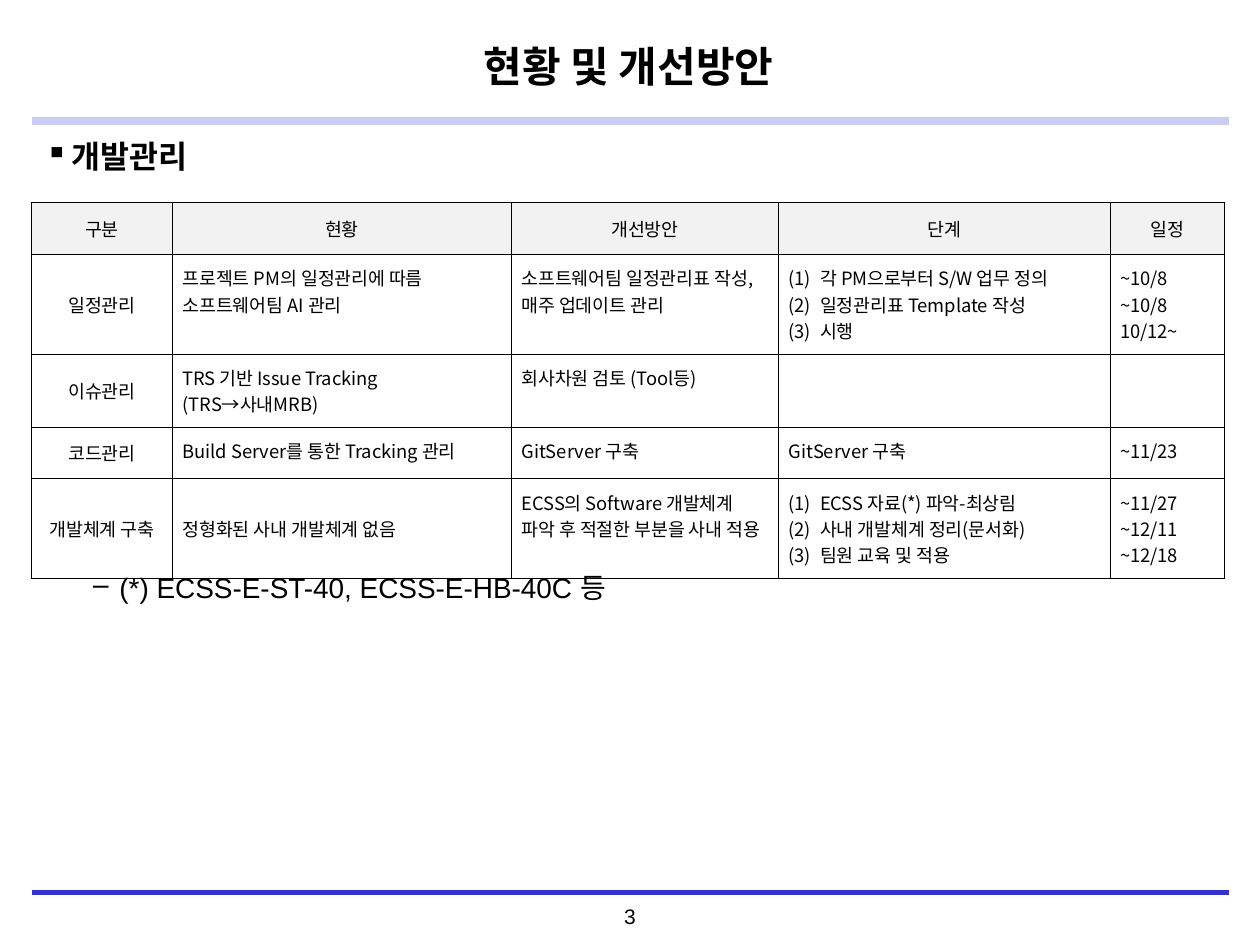
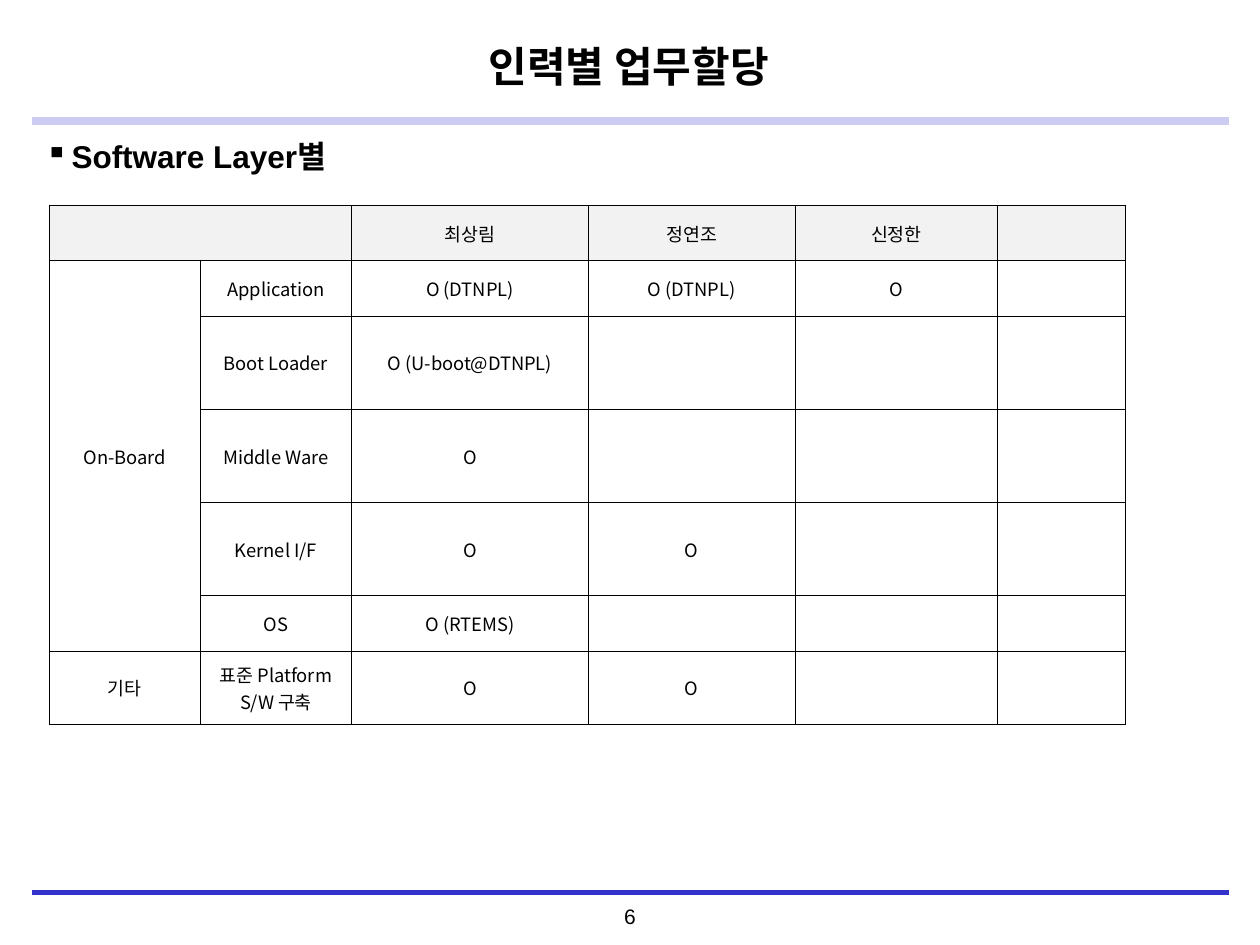
from lxml.etree import SubElement
from pptx import Presentation
from pptx.dml.color import RGBColor
from pptx.enum.shapes import MSO_CONNECTOR
from pptx.enum.text import MSO_ANCHOR, PP_ALIGN
from pptx.oxml.ns import qn
from pptx.util import Inches, Pt

COLORS = {"ink": "000000", "band": "CCCCF2", "rule": "3333CC", "head": "F2F2F2"}
LATIN, KOREAN = "Arial", "Noto Sans CJK KR"
LEFT, RIGHT, WIDTH = 0.25, 9.75, 9.48


def color(name):
    return RGBColor.from_string(COLORS[name])


def style(par, size, face=LATIN, bold=False, align=PP_ALIGN.LEFT):
    par.alignment = align
    font = par.font
    font.size, font.name, font.bold = Pt(size), face, bold
    font.color.rgb = color("ink")
    props = par._p.get_or_add_pPr().find(qn("a:defRPr"))
    latin = props.find(qn("a:latin"))
    asian = SubElement(props, qn("a:ea"), typeface=KOREAN)
    latin.addnext(asian)


def indent(par, hang, tag, **attrs):
    props = par._p.get_or_add_pPr()
    props.set("marL", str(Inches(hang)))
    props.set("indent", str(-Inches(hang)))
    SubElement(props, qn(tag), **attrs)


def add_rule(slide, y, name, weight):
    line = slide.shapes.add_connector(
        MSO_CONNECTOR.STRAIGHT, Inches(LEFT), Inches(y), Inches(RIGHT), Inches(y))
    line.line.color.rgb = color(name)
    line.line.width = Pt(weight)
    SubElement(line._element.spPr, qn("a:effectLst"))


def add_text(slide, box, text, size, bold=False, mark=None, align=PP_ALIGN.LEFT):
    shape = slide.shapes.add_textbox(*map(Inches, box))
    shape.text_frame.word_wrap = True
    par = shape.text_frame.paragraphs[0]
    par.text = text
    if mark:
        indent(par, 0.21, "a:buChar", char=mark)
    style(par, size, bold=bold, align=align)


def add_page(deck, title, topic, number):
    slide = deck.slides.add_slide(deck.slide_layouts[5])
    # Title
    head = slide.shapes.title
    head.left, head.top = Inches(LEFT), Inches(0.14)
    head.width, head.height = Inches(WIDTH), Inches(0.77)
    head.text_frame.text = title
    head.text_frame.vertical_anchor = MSO_ANCHOR.MIDDLE
    style(head.text_frame.paragraphs[0], 24, bold=True, align=PP_ALIGN.CENTER)
    # Band and footer
    add_rule(slide, 0.96, "band", 4.5)
    for y in (7.08, 7.09):
        add_rule(slide, y, "rule", 2)
    add_text(slide, (4.19, 7.12, 1.62, 0.3), number, 12, align=PP_ALIGN.CENTER)
    # Topic line
    add_text(slide, (0.26, 1.04, WIDTH, 0.46), topic, 18, True, "▪")
    return slide


def add_borders(cell):
    props = cell._tc.get_or_add_tcPr()
    for side in ("a:lnL", "a:lnR", "a:lnT", "a:lnB"):
        line = SubElement(props, qn(side), w=str(Pt(0.5)))
        fill = SubElement(line, qn("a:solidFill"))
        SubElement(fill, qn("a:srgbClr"), val=COLORS["ink"])


def fill_cell(cell, text, head, center, middle):
    add_borders(cell)
    if head:
        cell.fill.solid()
        cell.fill.fore_color.rgb = color("head")
    else:
        cell.fill.background()
    cell.margin_left = cell.margin_right = Inches(0.08)
    cell.margin_top = cell.margin_bottom = Inches(0.08 if text else 0)
    cell.vertical_anchor = MSO_ANCHOR.MIDDLE if middle else MSO_ANCHOR.TOP
    # A list holds numbered steps
    steps = isinstance(text, list)
    cell.text = "\n".join(text) if steps else text
    for par in cell.text_frame.paragraphs:
        if steps:
            indent(par, 0.25, "a:buAutoNum", type="arabicParenBoth")
        style(par, 10.5, KOREAN, align=PP_ALIGN.CENTER if center else PP_ALIGN.LEFT)


def add_grid(slide, left, top, cols, heights, rows, centered, middles=()):
    frame = slide.shapes.add_table(
        len(rows), len(cols), Inches(left), Inches(top),
        Inches(sum(cols)), Inches(sum(heights)))
    table = frame.table
    table.first_row = table.horz_banding = False
    for col, width in zip(table.columns, cols):
        col.width = Inches(width)
    for row, height in zip(table.rows, heights):
        row.height = Inches(height)
    for r, row in enumerate(rows):
        for c, text in enumerate(row):
            center = centered or r == 0 or c == 0
            fill_cell(table.cell(r, c), text, r == 0, center,
                      center or (r, c) in middles)
    return table


def add_plan(deck):
    slide = add_page(deck, "현황 및 개선방안", "개발관리", "3")
    rows = [
        ("구분", "현황", "개선방안", "단계", "일정"),
        ("일정관리", "프로젝트 PM의 일정관리에 따름\n소프트웨어팀 AI 관리",
         "소프트웨어팀 일정관리표 작성, 매주 업데이트 관리",
         ["각 PM으로부터 S/W 업무 정의", "일정관리표 Template 작성", "시행"],
         "~10/8\n~10/8\n10/12~"),
        ("이슈관리", "TRS 기반 Issue Tracking\n(TRS→사내MRB)",
         "회사차원 검토 (Tool등)", "", ""),
        ("코드관리", "Build Server를 통한 Tracking 관리",
         "GitServer 구축", "GitServer 구축", "~11/23"),
        ("개발체계 구축", "정형화된 사내 개발체계 없음",
         "ECSS의 Software 개발체계 파악 후 적절한 부분을 사내 적용",
         ["ECSS 자료(*) 파악-최상림", "사내 개발체계 정리(문서화)", "팀원 교육 및 적용"],
         "~11/27\n~12/11\n~12/18"),
    ]
    add_grid(slide, LEFT, 1.61, (1.12, 2.69, 2.12, 2.63, 0.91),
             (0.41, 0.79, 0.58, 0.41, 0.79), rows, False, {(4, 1)})
    # Note under the table
    add_text(slide, (0.64, 4.48, 9.1, 0.42),
             "(*) ECSS-E-ST-40, ECSS-E-HB-40C 등", 16, mark="–")


def add_staff(deck):
    slide = add_page(deck, "인력별 업무할당", "Software Layer별", "6")
    rows = [
        ("", "", "최상림", "정연조", "신정한", ""),
        ("On-Board", "Application", "O (DTNPL)", "O (DTNPL)", "O", ""),
        ("", "Boot Loader", "O (U-boot@DTNPL)", "", "", ""),
        ("", "Middle Ware", "O", "", "", ""),
        ("", "Kernel I/F", "O", "O", "", ""),
        ("", "OS", "O (RTEMS)", "", "", ""),
        ("기타", "표준 Platform S/W 구축", "O", "O", "", ""),
    ]
    low, tall = 0.44, 0.74
    table = add_grid(slide, 0.39, 1.63, (1.2, 1.2, 1.88, 1.64, 1.61, 1.01),
                     (low, low, tall, tall, tall, low, 0.58), rows, True)
    table.cell(0, 0).merge(table.cell(0, 1))
    table.cell(1, 0).merge(table.cell(5, 0))


def main():
    deck = Presentation()
    deck.slide_width, deck.slide_height = Inches(10), Inches(7.5)
    add_plan(deck)
    add_staff(deck)
    deck.save("out.pptx")


if __name__ == "__main__":
    main()
